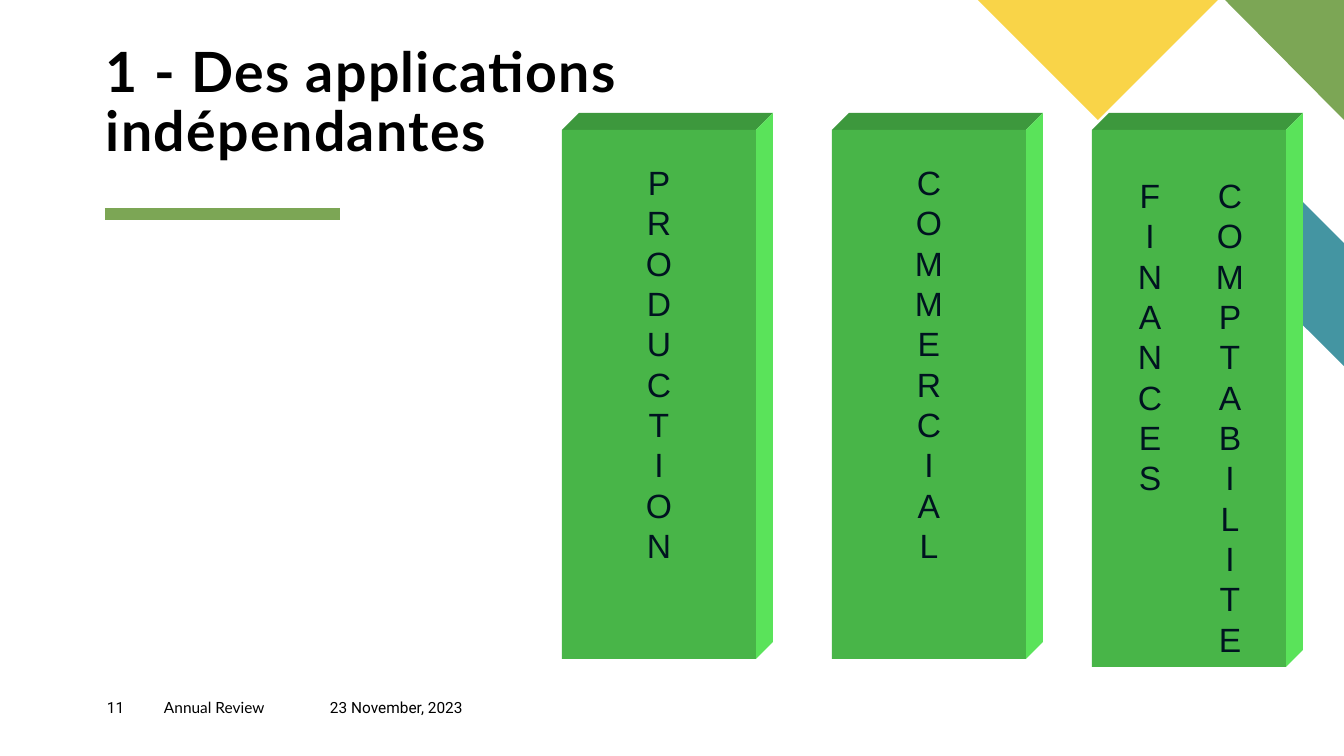
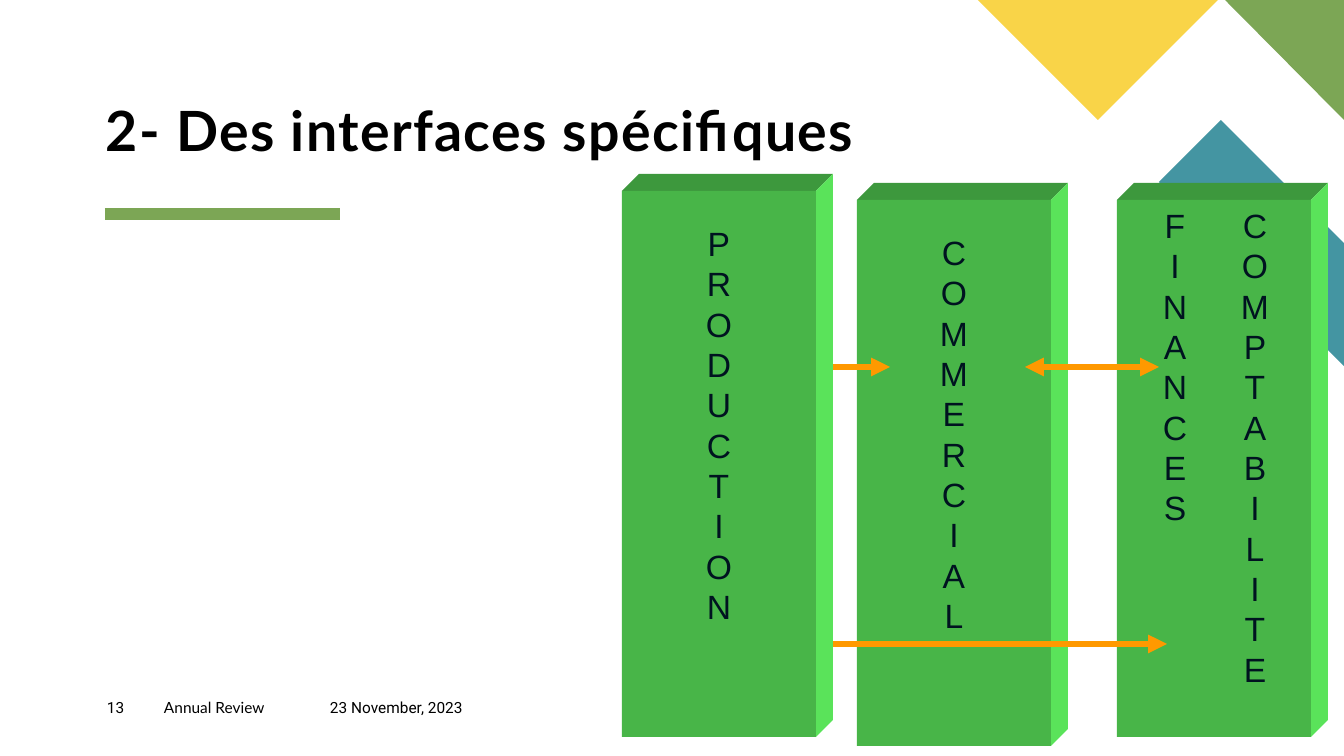
from itertools import zip_longest

from lxml import etree
from pptx import Presentation
from pptx.dml.color import RGBColor
from pptx.enum.shapes import MSO_CONNECTOR, MSO_SHAPE
from pptx.enum.text import MSO_ANCHOR, MSO_AUTO_SIZE, PP_ALIGN
from pptx.oxml.ns import qn
from pptx.util import Pt

SLIDE_W, SLIDE_H = 1344, 756
SCALE = 12192000 / SLIDE_W  # EMU per px

COLORS = {
    "black": "000000",
    "letter": "001320",
    "olive": "7CA655",
    "teal": "4495A2",
    "yellow": "F9D448",
    "pillar_front": "48B548",
    "pillar_top": "3D983D",
    "pillar_side": "5AE35A",
    "arrow": "FF9900",
}

CORNER_ART = [
    ("teal", [(1344, 366), (1344, 243), (1221, 120), (1159, 182)]),
    ("olive", [(1344, 120), (1344, 0), (1225, 0)]),
    ("yellow", [(978, 0), (1098, 120), (1218, 0)]),
]
FOOTER_TOP, FOOTER_H = 698, 27
PILLAR_W, PILLAR_DEPTH = 194, 17
LETTER_PITCH = Pt(28.8)
COLUMN_STOPS = (48, 128)


def px(length):
    return round(length * SCALE)


def color(name):
    return RGBColor.from_string(COLORS[name])


def paint(shape, fill):
    shape.shadow.inherit = False
    shape.fill.solid()
    shape.fill.fore_color.rgb = color(fill)
    shape.line.fill.background()


def add_polygon(slide, points, fill):
    outline = slide.shapes.build_freeform(*points[0], scale=SCALE)
    outline.add_line_segments(points[1:], close=True)
    paint(outline.convert_to_shape(), fill)


def add_line(slide, start, end, stroke, width, arrowheads=False):
    line = slide.shapes.add_connector(
        MSO_CONNECTOR.STRAIGHT, *map(px, start + end))
    line.line.color.rgb = color(stroke)
    line.line.width = Pt(width)
    if arrowheads:
        outline = line.line._get_or_add_ln()
        for tag in ("a:headEnd", "a:tailEnd"):
            etree.SubElement(outline, qn(tag), type="triangle")
    etree.SubElement(line._element.spPr, qn("a:effectLst"))


def set_insets(frame, left=0, top=0, right=0, bottom=0):
    frame.margin_left, frame.margin_top = px(left), px(top)
    frame.margin_right, frame.margin_bottom = px(right), px(bottom)


def add_run(paragraph, text, font, size, fill):
    run = paragraph.add_run()
    run.text = text
    run.font.name = font
    run.font.size = Pt(size)
    run.font.color.rgb = color(fill)
    return run


def set_title(slide, text):
    title = slide.shapes.title
    title.left, title.top, title.width, title.height = map(px, (106, 97, 804, 67))
    frame = title.text_frame
    set_insets(frame)
    frame.word_wrap = True
    frame.auto_size = MSO_AUTO_SIZE.NONE
    frame.vertical_anchor = MSO_ANCHOR.BOTTOM
    paragraph = frame.paragraphs[0]
    paragraph.alignment = PP_ALIGN.LEFT
    paragraph.line_spacing = 0.9
    run = add_run(paragraph, text, "Lato", 39.6, "black")
    run.font.bold = True
    run._r.get_or_add_rPr().set("spc", "100")


def add_footer(slide, number):
    parts = [(107, 57, number, "Roboto"),
             (164, 165, "Annual Review", "Lato"),
             (330, 145, "23 November, 2023", "Roboto")]
    for left, width, text, font in parts:
        box = slide.shapes.add_textbox(
            px(left), px(FOOTER_TOP), px(width), px(FOOTER_H))
        set_insets(box.text_frame)
        box.text_frame.word_wrap = True
        add_run(box.text_frame.paragraphs[0], text, font, 11, "black")


def add_base_slide(prs, title, number):
    """Add a slide with the title, corner art, rule and footer all slides share."""
    slide = prs.slides.add_slide(prs.slide_layouts[5])
    add_line(slide, (105, 214), (340, 214), "olive", 8)
    for fill, points in CORNER_ART:
        add_polygon(slide, points, fill)
    set_title(slide, title)
    add_footer(slide, number)
    return slide


def add_column_stops(paragraph):
    stops = etree.SubElement(paragraph._p.get_or_add_pPr(), qn("a:tabLst"))
    for stop in COLUMN_STOPS:
        etree.SubElement(stops, qn("a:tab"), pos=str(px(stop)), algn="ctr")


def add_pillar(slide, left, top, height, words, text_top=32):
    """Draw a solid block whose words run downwards, one letter per line."""
    right, bottom, depth = left + PILLAR_W, top + height, PILLAR_DEPTH
    add_polygon(slide, [(left, top), (left + depth, top - depth),
                        (right + depth, top - depth), (right, top)], "pillar_top")
    add_polygon(slide, [(right, top), (right + depth, top - depth),
                        (right + depth, bottom - depth), (right, bottom)],
                "pillar_side")
    front = slide.shapes.add_shape(
        MSO_SHAPE.RECTANGLE, px(left), px(top), px(PILLAR_W), px(height))
    paint(front, "pillar_front")
    frame = front.text_frame
    set_insets(frame, left=10, top=text_top, right=10, bottom=5)
    frame.word_wrap = True
    frame.vertical_anchor = MSO_ANCHOR.TOP
    in_columns = len(words) > 1
    for row, letters in enumerate(zip_longest(*words, fillvalue="")):
        paragraph = frame.add_paragraph() if row else frame.paragraphs[0]
        paragraph.alignment = PP_ALIGN.LEFT if in_columns else PP_ALIGN.CENTER
        paragraph.line_spacing = LETTER_PITCH
        if in_columns:
            add_column_stops(paragraph)
        text = "".join("\t" + letter for letter in letters) if in_columns else letters[0]
        add_run(paragraph, text, "Arial", 24, "letter")


def add_applications_slide(prs):
    slide = add_base_slide(prs, "1 - Des applications indépendantes", "11")
    add_pillar(slide, 832, 130, 529, ["COMMERCIAL"])
    add_pillar(slide, 1092, 130, 537, ["FINANCES", "COMPTABILITE"], text_top=45)
    add_pillar(slide, 562, 130, 529, ["PRODUCTION"])


def add_interfaces_slide(prs):
    slide = add_base_slide(prs, "2- Des interfaces spécifiques", "13")
    add_pillar(slide, 857, 200, 546, ["COMMERCIAL"])
    add_pillar(slide, 1117, 200, 537, ["FINANCES", "COMPTABILITE"], text_top=5)
    for start, end, y in [(756, 890, 367), (1025, 1159, 367), (748, 1167, 644)]:
        add_line(slide, (start, y), (end, y), "arrow", 4.5, arrowheads=True)
    add_pillar(slide, 622, 191, 546, ["PRODUCTION"])


def main():
    prs = Presentation()
    prs.slide_width, prs.slide_height = px(SLIDE_W), px(SLIDE_H)
    add_applications_slide(prs)
    add_interfaces_slide(prs)
    prs.save("out.pptx")


if __name__ == "__main__":
    main()
